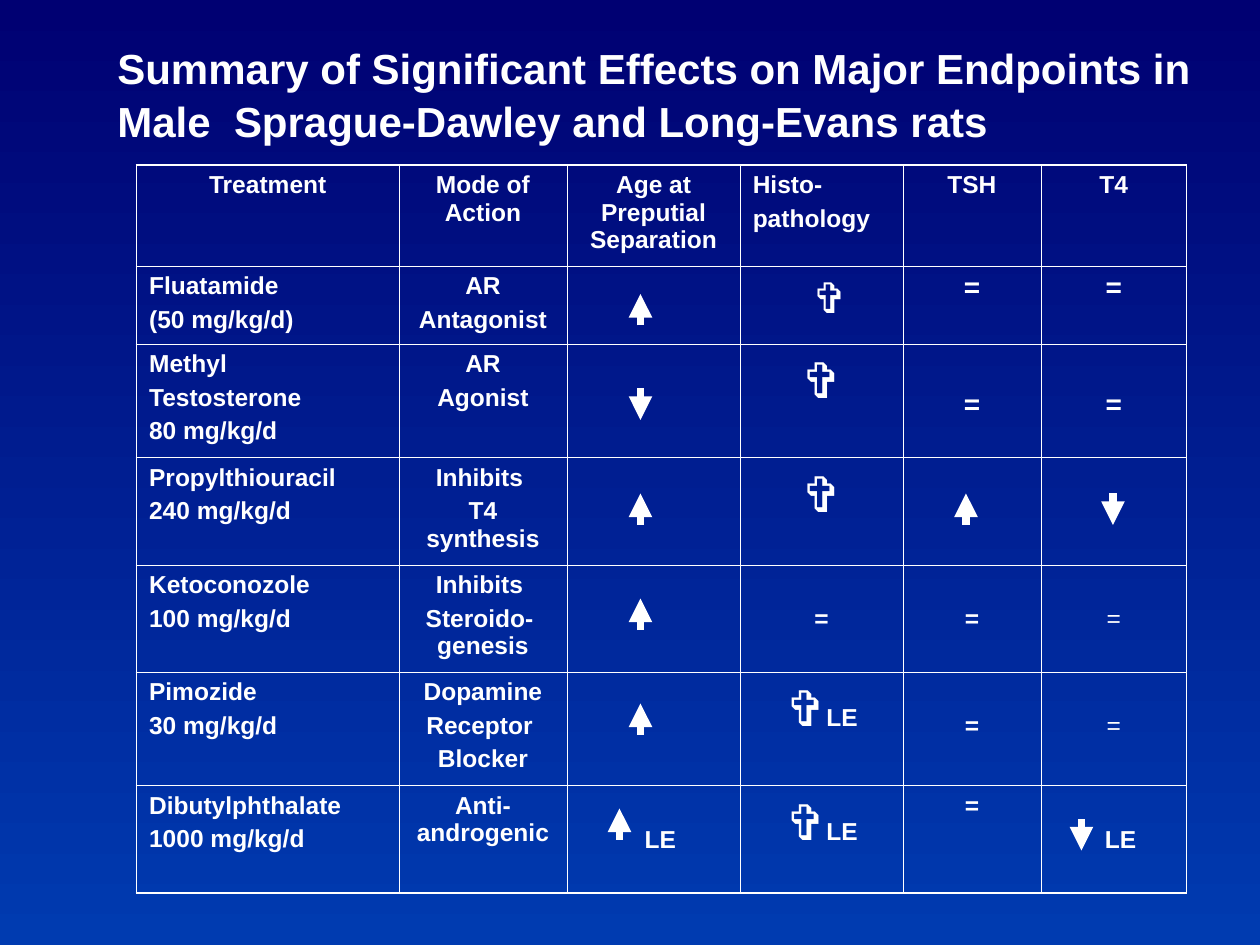
from lxml import etree
from pptx import Presentation
from pptx import util as u
from pptx.dml.color import RGBColor
from pptx.enum import shapes, text
from pptx.oxml import ns

WHITE = RGBColor(0xFF, 0xFF, 0xFF)
NAVY = RGBColor(0x00, 0x00, 0x72)
BLUE = RGBColor(0x00, 0x3B, 0xB0)
CROSS = "✞"

TITLE = ("Summary of Significant Effects on Major Endpoints in\n"
         "Male  Sprague-Dawley and Long-Evans rats")
COLS = [150, 96, 99, 93, 79, 83]
HEIGHTS = [57.6, 44.6, 65, 61.2, 61.2, 65, 61.2]
ROWS = [
    ["Treatment", "Mode of Action", "Age at Preputial Separation",
     "Histo-\npathology", "TSH", "T4"],
    ["Fluatamide\n(50 mg/kg/d)", "AR\nAntagonist", "", CROSS, "=", "="],
    ["Methyl\nTestosterone\n80 mg/kg/d", "AR\nAgonist", "", CROSS, "=", "="],
    ["Propylthiouracil\n240 mg/kg/d", "Inhibits \nT4 synthesis", "", CROSS, "", ""],
    ["Ketoconozole\n100 mg/kg/d", "Inhibits \nSteroido- \vgenesis", "", "=", "=", "="],
    ["Pimozide\n30 mg/kg/d", "Dopamine\nReceptor \nBlocker", "", CROSS + "LE", "=", "="],
    ["Dibutylphthalate\n1000 mg/kg/d", "Anti-androgenic", "LE", CROSS + "LE", "=", "LE"],
]
LOW = {"top": 23.2}
BIG = {"size": 16}
SHIFT = {"top": 23.2, "left": 15}
LIGHT = {"top": 23.2, "bold": False}
LOOKS = {
    (0, 0): {"mid": True}, (0, 3): {"mid": False},
    (1, 3): {"left": 16.6, "sign": 24}, (1, 4): BIG, (1, 5): BIG,
    (2, 4): {"top": 26, "size": 16}, (2, 5): {"top": 26, "size": 16},
    (4, 3): LOW, (4, 4): LOW, (4, 5): LIGHT,
    (5, 4): LOW, (5, 5): LIGHT,
    (6, 2): SHIFT, (6, 5): SHIFT,
}
ARROWS = [
    (366, 186, 168), (366, 222, 240), (366, 300, 282), (366, 360, 342),
    (366, 420, 402), (354, 480, 462), (552, 300, 282), (636, 282, 300),
    (618, 468, 486),
]


class Deck:
    """Holds the style and the current slide, and draws each kind of element."""

    def __init__(self, font, ink):
        self.font, self.ink = font, ink
        self.file = Presentation()
        self.file.slide_width, self.file.slide_height = u.Pt(720), u.Pt(540)
        self.slide = self.file.slides.add_slide(self.file.slide_layouts[6])

    def back(self, top, low):
        fill = self.slide.background.fill
        fill.gradient()
        fill.gradient_angle = 270
        for stop, hue, place in zip(fill.gradient_stops, (top, low), (0, 1)):
            stop.color.rgb, stop.position = hue, place

    def style(self, run, size, bold=True, font=None):
        run.font.name = font or self.font
        run.font.size, run.font.bold = u.Pt(size), bold
        run.font.color.rgb = self.ink

    def label(self, frame, words, size, gap, mid=False, bold=True, sign=28):
        frame.text = words
        for num, para in enumerate(frame.paragraphs):
            para.alignment = text.PP_ALIGN.CENTER if mid else text.PP_ALIGN.LEFT
            if num:
                para.space_before = u.Pt(gap)
            line = para.text
            if line.startswith(CROSS):
                para.text = CROSS
                self.style(para.runs[0], sign, False, "Lato")
                if line != CROSS:
                    run = para.add_run()
                    run.text = line[len(CROSS):]
                    self.style(run, size)
            else:
                for run in para.runs:
                    self.style(run, size, bold)

    def title(self, words, left, top, wide, high):
        box = self.slide.shapes.add_textbox(*map(u.Pt, (left, top, wide, high)))
        box.text_frame.word_wrap = False
        box.text_frame.margin_top = u.Pt(6)
        self.label(box.text_frame, words, 24, 1.5)

    def edge(self, cell, side, wide):
        line = etree.SubElement(cell._tc.get_or_add_tcPr(), ns.qn("a:ln" + side),
                                w=str(u.Pt(wide)))
        fill = etree.SubElement(line, ns.qn("a:solidFill"))
        etree.SubElement(fill, ns.qn("a:srgbClr"), val=str(self.ink))

    def table(self, rows, left, top, cols, highs, looks):
        frame = self.slide.shapes.add_table(
            len(highs), len(cols), *map(u.Pt, (left, top, sum(cols), sum(highs))))
        grid = frame.table
        grid.first_row = grid.horz_banding = False
        for col, wide in zip(grid.columns, cols):
            col.width = u.Pt(wide)
        for row, high in zip(grid.rows, highs):
            row.height = u.Pt(high)
        for r, row in enumerate(rows):
            for c, words in enumerate(row):
                cell = grid.cell(r, c)
                look = {"size": 14, "gap": 3.5, "mid": c > 0, **looks.get((r, c), {})}
                cell.margin_left = u.Pt(look.pop("left", 7.2))
                cell.margin_top = u.Pt(look.pop("top", 3.6))
                outer = {"L": c == 0, "R": c == len(cols) - 1,
                         "T": r == 0, "B": r == len(highs) - 1}
                for side, out in outer.items():
                    self.edge(cell, side, 1.08 if out else 0.45)
                cell.fill.background()
                if words:
                    self.label(cell.text_frame, words, **look)

    def arrow(self, x, start, end):
        line = self.slide.shapes.add_connector(
            shapes.MSO_CONNECTOR.STRAIGHT, *map(u.Pt, (x, start, x, end)))
        line.line.color.rgb, line.line.width = self.ink, u.Pt(4.5)
        etree.SubElement(line.line._get_or_add_ln(), ns.qn("a:tailEnd"), type="triangle")
        etree.SubElement(line._element.spPr, ns.qn("a:effectLst"))


def main():
    deck = Deck("Arial", WHITE)
    deck.back(NAVY, BLUE)
    deck.table(ROWS, 78, 94.4, COLS, HEIGHTS, LOOKS)
    deck.title(TITLE, 60, 18, 628, 65)
    for spot in ARROWS:
        deck.arrow(*spot)
    deck.file.save("out.pptx")


if __name__ == "__main__":
    main()
